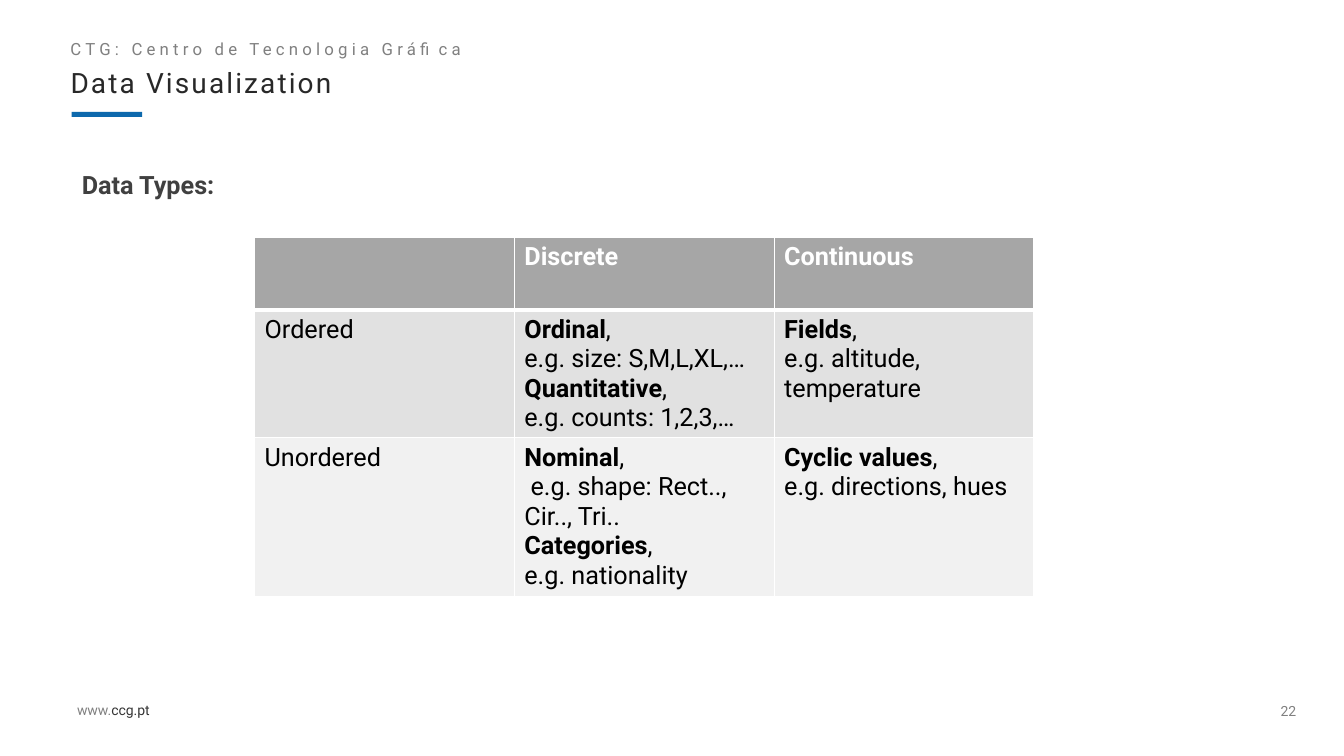
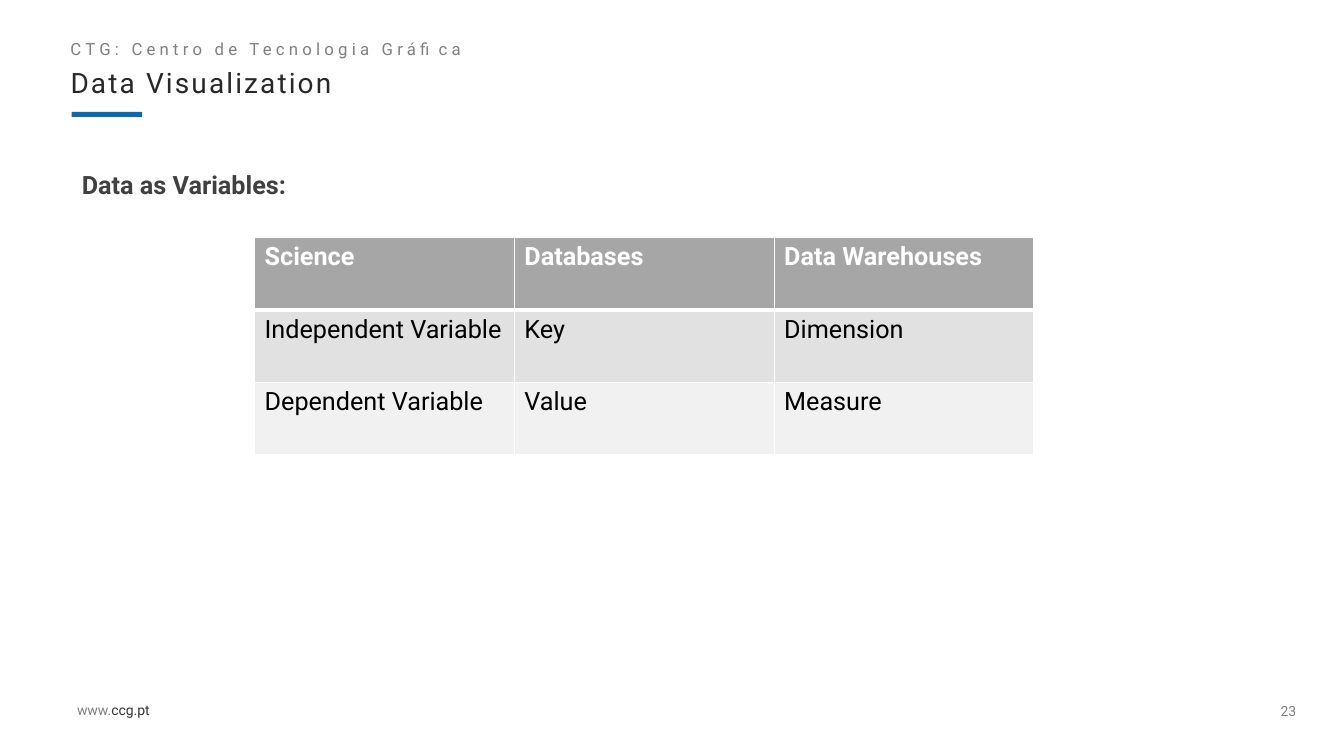
from dataclasses import dataclass, field
from typing import Any

from lxml.etree import SubElement
from pptx import Presentation
from pptx.dml.color import RGBColor as Rgb
from pptx.enum.shapes import MSO_SHAPE as Shape
from pptx.enum.text import MSO_ANCHOR as Anchor, PP_ALIGN as Align
from pptx.oxml.ns import qn
from pptx.util import Emu, Inches, Pt

SLIDE_WIDTH, SLIDE_HEIGHT = Inches(13.33), Inches(7.5)
EMPHASIS_MARK = "**"


@dataclass(frozen=True)
class Theme:
    font: str = "Roboto"
    accent: str = "0D69AD"
    muted: str = "808080"
    title: str = "282828"
    heading: str = "404040"
    address: str = "353535"
    header_text: str = "FFFFFF"
    cell_text: str = "000000"
    border: str = "FFFFFF"
    row_fills: tuple[str, ...] = ("A6A6A6", "E1E1E1", "F1F1F1")
    small: int = 10
    kicker_size: int = 12
    body: int = 18
    title_size: int = 20
    thin_border: int = 1
    thick_border: int = 3


@dataclass(frozen=True)
class Box:
    """Position and size in percent of the slide."""

    left: float
    top: float
    width: float
    height: float

    def lengths(self) -> tuple[Emu, Emu, Emu, Emu]:
        return (across(self.left), down(self.top), across(self.width), down(self.height))


@dataclass(frozen=True)
class TextStyle:
    size: int
    color: str
    bold: bool = False
    tracking: float = 0
    emphasis: dict[str, Any] = field(default_factory=dict)
    paragraph: dict[str, Any] = field(default_factory=dict)


@dataclass(frozen=True)
class Label:
    box: Box
    style: TextStyle
    frame: dict[str, Any] = field(default_factory=dict)


Cell = tuple[str, ...]


@dataclass(frozen=True)
class TableSlide:
    number: int
    heading: str
    rows: tuple[tuple[Cell, ...], ...]


THEME = Theme()
NO_MARGINS = dict.fromkeys(("margin_left", "margin_top", "margin_right", "margin_bottom"), 0)
TIGHT = {"line_spacing": 0.9}

KICKER = Label(Box(4.5, 4.53, 39.23, 4), TextStyle(THEME.kicker_size, THEME.muted, tracking=3))
TITLE = Label(
    Box(5.25, 9.2, 71.64, 4.4),
    TextStyle(THEME.title_size, THEME.title, tracking=1.5, paragraph=TIGHT),
    NO_MARGINS,
)
HEADING = Label(
    Box(5.35, 22.13, 88.75, 4.93),
    TextStyle(THEME.body, THEME.heading, bold=True, paragraph=TIGHT),
    {"vertical_anchor": Anchor.BOTTOM},
)
ADDRESS = Label(
    Box(4.99, 92.13, 7.35, 3.6),
    TextStyle(THEME.small, THEME.muted, emphasis={"color": THEME.address}),
    {"word_wrap": False},
)
NUMBER = Label(
    Box(94.1, 91.2, 3.53, 5.73),
    TextStyle(THEME.small, THEME.muted, paragraph={"alignment": Align.CENTER}),
    {**NO_MARGINS, "vertical_anchor": Anchor.MIDDLE},
)
HEADER_STYLE = TextStyle(THEME.body, THEME.header_text, bold=True)
CELL_STYLE = TextStyle(THEME.body, THEME.cell_text, emphasis={"bold": True})

ACCENT_BAR = Box(5.33, 14.8, 5.25, 0.67)
TABLE_LEFT, TABLE_TOP = 18.94, 31.43
COLUMN_WIDTH, ROW_HEIGHT = 19.33, 9.56
CELL_FORMAT = {"margin_bottom": Inches(0.02)}

SLIDES = (
    TableSlide(
        22,
        "Data Types:",
        (
            ((), ("Discrete",), ("Continuous",)),
            (
                ("Ordered",),
                (
                    "**Ordinal**,",
                    "e.g. size: S,M,L,XL,… **Quantitative**,",
                    "e.g. counts: 1,2,3,…",
                ),
                ("**Fields**,", "e.g. altitude, temperature"),
            ),
            (
                ("Unordered",),
                (
                    "**Nominal**,",
                    " e.g. shape: Rect.., Cir.., Tri..",
                    "**Categories**,",
                    "e.g. nationality",
                ),
                ("**Cyclic values**,", "e.g. directions, hues"),
            ),
        ),
    ),
    TableSlide(
        23,
        "Data as Variables:",
        (
            (("Science",), ("Databases",), ("Data Warehouses",)),
            (("Independent Variable",), ("Key",), ("Dimension",)),
            (("Dependent Variable",), ("Value",), ("Measure",)),
        ),
    ),
)


def across(percent: float) -> Emu:
    return Emu(round(SLIDE_WIDTH * percent / 100))


def down(percent: float) -> Emu:
    return Emu(round(SLIDE_HEIGHT * percent / 100))


def apply(target: Any, values: dict[str, Any]) -> None:
    for name, value in values.items():
        setattr(target, name, value)


def add_run(paragraph: Any, text: str, style: TextStyle, emphasized: bool) -> None:
    run = paragraph.add_run()
    run.text = text
    values = {"name": THEME.font, "size": Pt(style.size), "bold": style.bold, "color": style.color}
    if emphasized:
        values |= style.emphasis
    run.font.color.rgb = Rgb.from_string(values.pop("color"))
    apply(run.font, values)
    if style.tracking:
        run._r.get_or_add_rPr().set("spc", str(round(style.tracking * 100)))


def write(frame: Any, lines: Cell, style: TextStyle) -> None:
    for index, line in enumerate(lines):
        paragraph = frame.add_paragraph() if index else frame.paragraphs[0]
        apply(paragraph, style.paragraph)
        for position, text in enumerate(line.split(EMPHASIS_MARK)):
            if text:
                add_run(paragraph, text, style, position % 2 == 1)


def add_label(slide: Any, label: Label, text: str) -> None:
    frame = slide.shapes.add_textbox(*label.box.lengths()).text_frame
    apply(frame, {"word_wrap": True, **label.frame})
    write(frame, (text,), label.style)


def add_accent_bar(slide: Any) -> None:
    shape = slide.shapes.add_shape(Shape.RECTANGLE, *ACCENT_BAR.lengths())
    shape.shadow.inherit = False
    shape.fill.solid()
    shape.fill.fore_color.rgb = Rgb.from_string(THEME.accent)
    shape.line.fill.background()


def set_borders(cell: Any, row: int) -> None:
    thick_side = {0: "B", 1: "T"}.get(row)
    properties = cell._tc.get_or_add_tcPr()
    for side in "LRTB":
        width = THEME.thick_border if side == thick_side else THEME.thin_border
        line = SubElement(properties, qn(f"a:ln{side}"), w=str(Pt(width)))
        SubElement(SubElement(line, qn("a:solidFill")), qn("a:srgbClr"), val=THEME.border)


def add_data_table(slide: Any, rows: tuple[tuple[Cell, ...], ...]) -> None:
    row_count, column_count = len(rows), len(rows[0])
    box = Box(TABLE_LEFT, TABLE_TOP, COLUMN_WIDTH * column_count, ROW_HEIGHT * row_count)
    table = slide.shapes.add_table(row_count, column_count, *box.lengths()).table
    table.horz_banding = False
    for row, cells in enumerate(rows):
        style = CELL_STYLE if row else HEADER_STYLE
        for column, lines in enumerate(cells):
            cell = table.cell(row, column)
            apply(cell, CELL_FORMAT)
            set_borders(cell, row)
            cell.fill.solid()
            cell.fill.fore_color.rgb = Rgb.from_string(THEME.row_fills[row])
            write(cell.text_frame, lines, style)


def add_table_slide(presentation: Any, content: TableSlide) -> None:
    slide = presentation.slides.add_slide(presentation.slide_layouts[6])
    add_accent_bar(slide)
    for label, text in (
        (KICKER, "CTG: Centro de Tecnologia Gráfica"),
        (TITLE, "Data Visualization"),
        (HEADING, content.heading),
        (ADDRESS, "www.**ccg.pt**"),
        (NUMBER, str(content.number)),
    ):
        add_label(slide, label, text)
    add_data_table(slide, content.rows)


def main() -> None:
    presentation = Presentation()
    apply(presentation, {"slide_width": SLIDE_WIDTH, "slide_height": SLIDE_HEIGHT})
    for content in SLIDES:
        add_table_slide(presentation, content)
    presentation.save("out.pptx")


if __name__ == "__main__":
    main()
